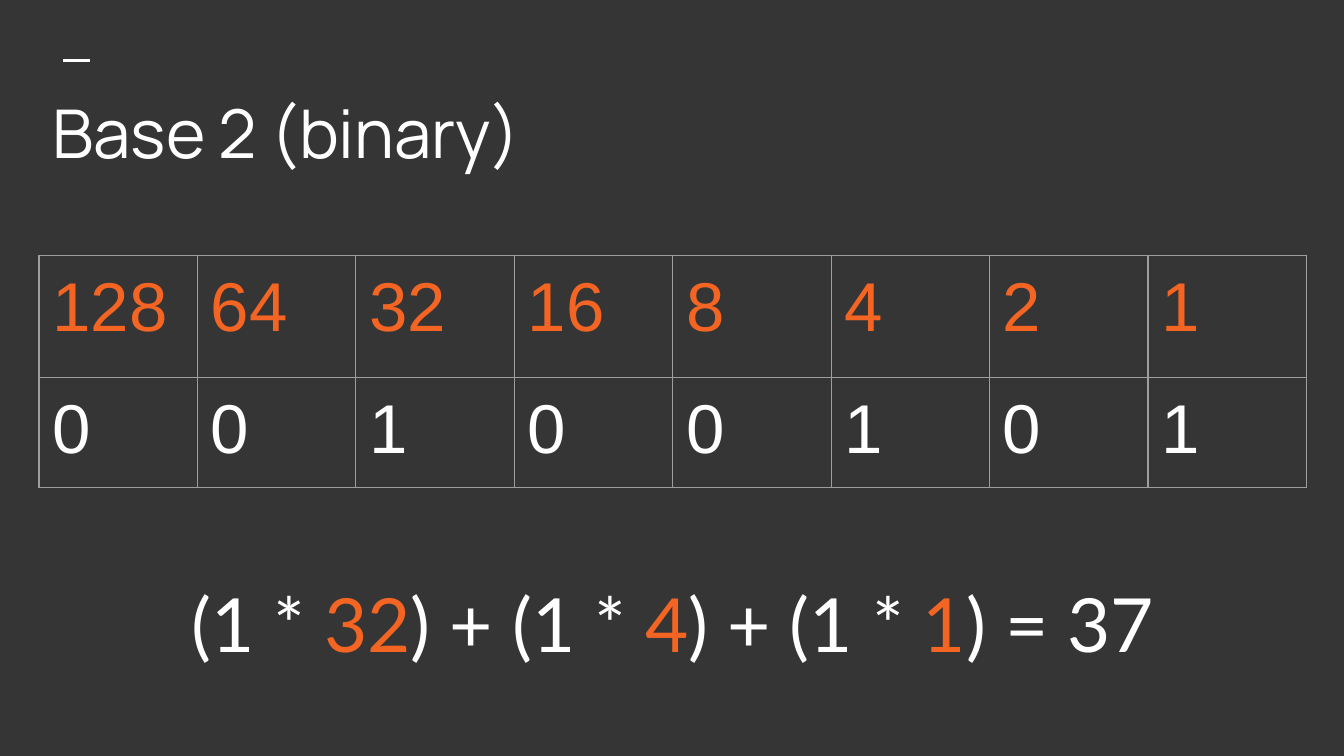
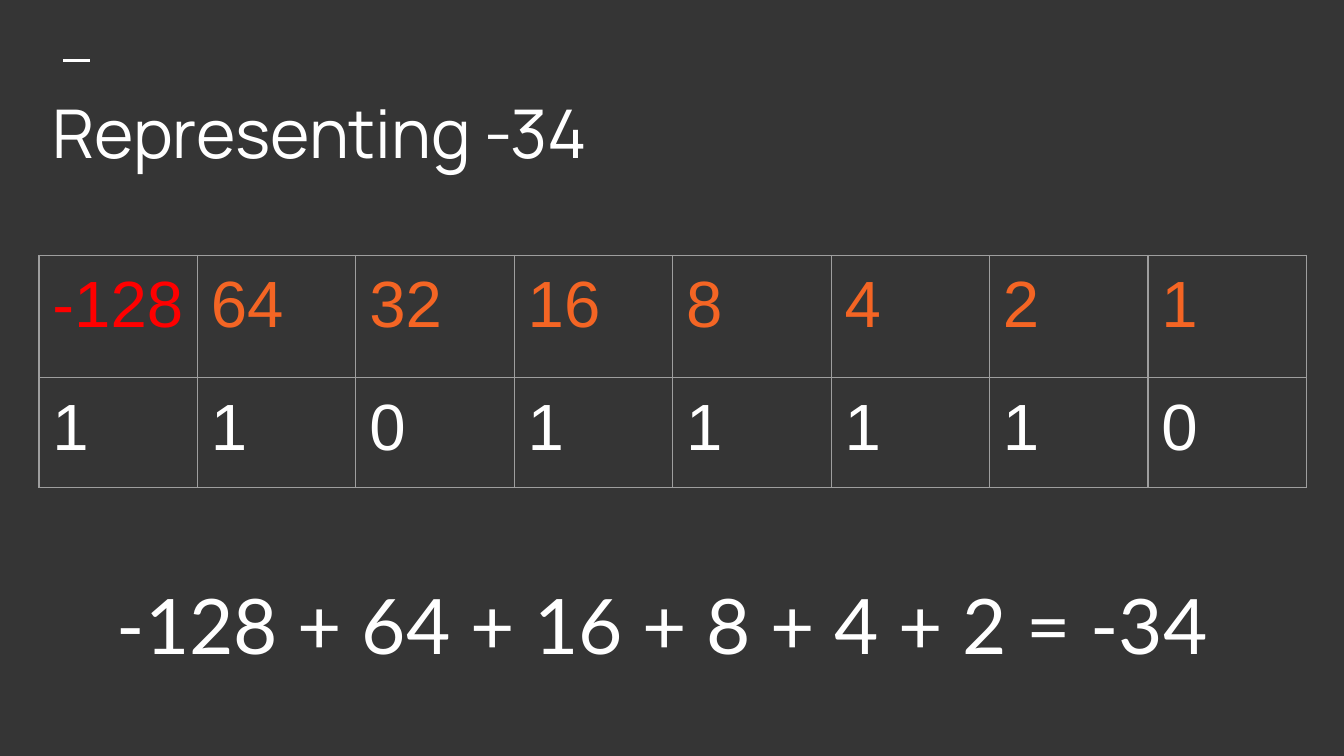
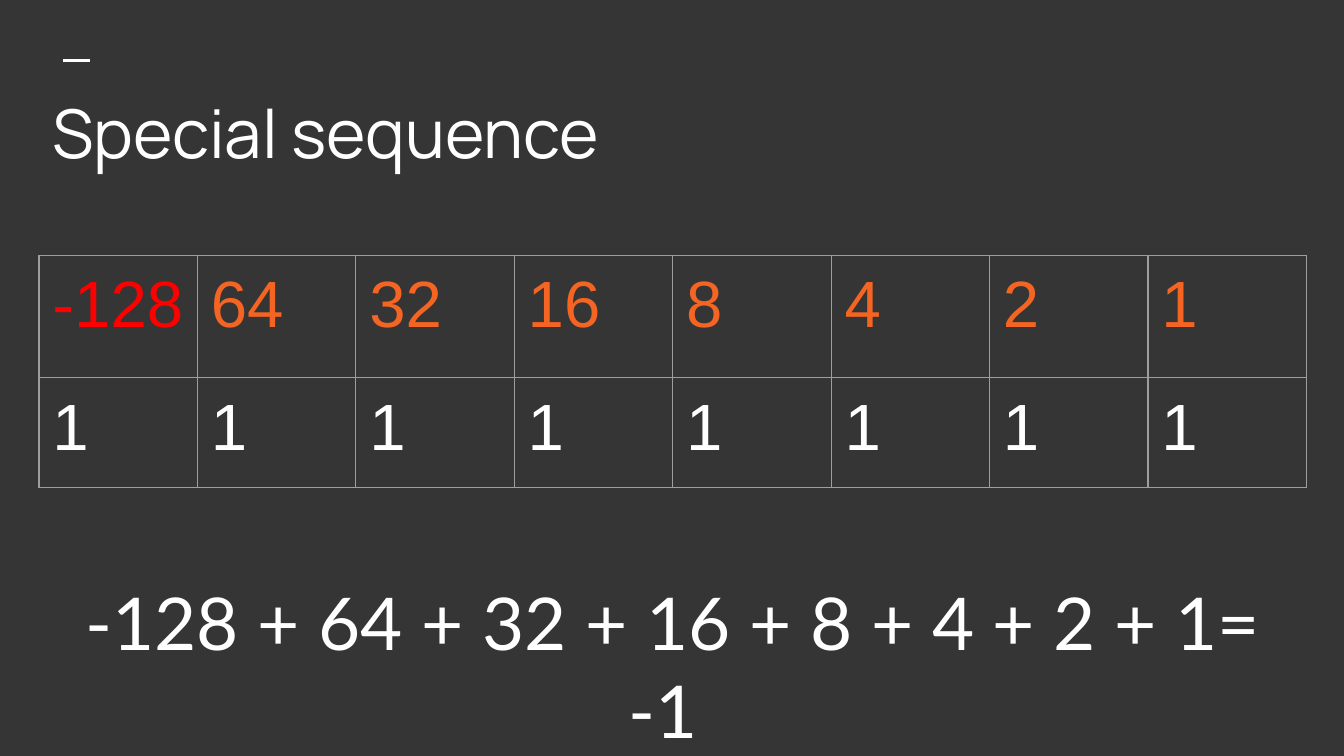
from dataclasses import dataclass

from lxml import etree
from pptx import Presentation
from pptx import util as u
from pptx.dml.color import RGBColor
from pptx.enum import shapes, text
from pptx.oxml import ns


@dataclass(frozen=True)
class Theme:
    background: str = "353535"
    plain: str = "FFFFFF"
    weight: str = "F46524"
    sign: str = "FF0000"
    border: str = "9E9E9E"
    title_font: str = "Manrope"
    table_font: str = "Arial"
    sum_font: str = "Lato"
    title_size: int = 36
    border_width: float = 0.75
    dash_width: float = 1.5


@dataclass(frozen=True)
class BinarySlide:
    title: str
    bits: str
    signed: bool
    digit_size: int
    sum_size: int
    sum_height: float
    sum_parts: tuple[str, ...]  # plain and highlighted parts in turn


THEME = Theme()
PAGE_WIDTH = u.Inches(10)
PAGE_HEIGHT = u.Inches(10 * 9 / 16)  # widescreen
LEFT, WIDTH = u.Inches(0.29), u.Inches(9.43)
ROW_HEIGHTS = (u.Inches(0.91), u.Inches(0.82))
MARGINS = {f"margin_{side}": u.Inches(0.1) for side in ("left", "right", "top", "bottom")}

SLIDES = (
    BinarySlide("Base 2 (binary)", "00100101", False, 37, 40, 0.88,
                ("(1 * ", "32", ") + (1 * ", "4", ") + (1 * ", "1", ") = 37")),
    BinarySlide("Representing -34", "11011110", True, 35, 41, 0.89,
                ("-128 + 64 + 16 + 8 + 4 + 2 = -34 ",)),
    BinarySlide("Special sequence", "11111111", True, 35, 39, 0.86,
                ("-128 + 64 + 32 + 16 + 8 + 4 + 2 + 1= -1 ",)),
)


def apply(target, values: dict) -> None:
    for name, value in values.items():
        setattr(target, name, value)


def add_span(para, words: str, font: str, size: int, color: str) -> None:
    span = para.add_run()
    span.text = words
    apply(span.font, {"name": font, "size": u.Pt(size), "bold": False})
    span.font.color.rgb = RGBColor.from_string(color)


def add_dash(page) -> None:
    """Draw the short rule above the title."""
    height = u.Inches(0.45)
    dash = page.shapes.add_connector(
        shapes.MSO_CONNECTOR.STRAIGHT, u.Inches(0.47), height, u.Inches(0.67), height)
    dash.line.color.rgb = RGBColor.from_string(THEME.plain)
    dash.line.width = u.Pt(THEME.dash_width)
    etree.SubElement(dash.element.spPr, ns.qn("a:effectLst"))


def set_title(page, words: str) -> None:
    title = page.shapes.title
    apply(title, {"left": LEFT, "top": u.Inches(0.59),
                  "width": WIDTH, "height": u.Inches(0.78)})
    apply(title.text_frame, {**MARGINS, "word_wrap": True,
                             "auto_size": text.MSO_AUTO_SIZE.NONE,
                             "vertical_anchor": text.MSO_ANCHOR.MIDDLE})
    para = title.text_frame.paragraphs[0]
    apply(para, {"alignment": text.PP_ALIGN.LEFT, "space_after": u.Pt(10)})
    add_span(para, words, THEME.title_font, THEME.title_size, THEME.plain)


def add_borders(cell) -> None:
    properties = cell._tc.get_or_add_tcPr()
    for side in ("lnL", "lnR", "lnT", "lnB"):
        line = etree.SubElement(properties, ns.qn(f"a:{side}"),
                                w=str(u.Pt(THEME.border_width)))
        fill = etree.SubElement(line, ns.qn("a:solidFill"))
        etree.SubElement(fill, ns.qn("a:srgbClr"), val=THEME.border)


def fill_cell(cell, words: str, size: int, color: str) -> None:
    apply(cell, MARGINS)
    add_borders(cell)
    cell.fill.background()
    add_span(cell.text_frame.paragraphs[0], words, THEME.table_font, size, color)


def add_bit_table(page, content: BinarySlide) -> None:
    """Place values on the first row, bits on the second."""
    count = len(content.bits)
    table = page.shapes.add_table(
        2, count, LEFT, u.Inches(1.9), WIDTH, sum(ROW_HEIGHTS)).table
    apply(table, {"first_row": False, "horz_banding": False})
    for row, height in zip(table.rows, ROW_HEIGHTS):
        row.height = height
    for column, bit in enumerate(content.bits):
        is_sign = content.signed and column == 0
        value = 2 ** (count - 1 - column) * (-1 if is_sign else 1)
        fill_cell(table.cell(0, column), str(value), content.digit_size,
                  THEME.sign if is_sign else THEME.weight)
        fill_cell(table.cell(1, column), bit, content.digit_size, THEME.plain)


def add_sum(page, content: BinarySlide) -> None:
    box = page.shapes.add_textbox(
        LEFT, u.Inches(4.2), WIDTH, u.Inches(content.sum_height))
    apply(box.text_frame, {**MARGINS, "word_wrap": True,
                           "auto_size": text.MSO_AUTO_SIZE.SHAPE_TO_FIT_TEXT})
    para = box.text_frame.paragraphs[0]
    para.alignment = text.PP_ALIGN.CENTER
    for index, part in enumerate(content.sum_parts):
        color = THEME.weight if index % 2 else THEME.plain
        add_span(para, part, THEME.sum_font, content.sum_size, color)


def main() -> None:
    deck = Presentation()
    apply(deck, {"slide_width": PAGE_WIDTH, "slide_height": PAGE_HEIGHT})

    # Shared background
    backdrop = deck.slide_master.background.fill
    backdrop.solid()
    backdrop.fore_color.rgb = RGBColor.from_string(THEME.background)

    title_only = deck.slide_layouts.get_by_name("Title Only")
    for content in SLIDES:
        page = deck.slides.add_slide(title_only)
        add_dash(page)
        set_title(page, content.title)
        add_bit_table(page, content)
        add_sum(page, content)
    deck.save("out.pptx")


if __name__ == "__main__":
    main()
